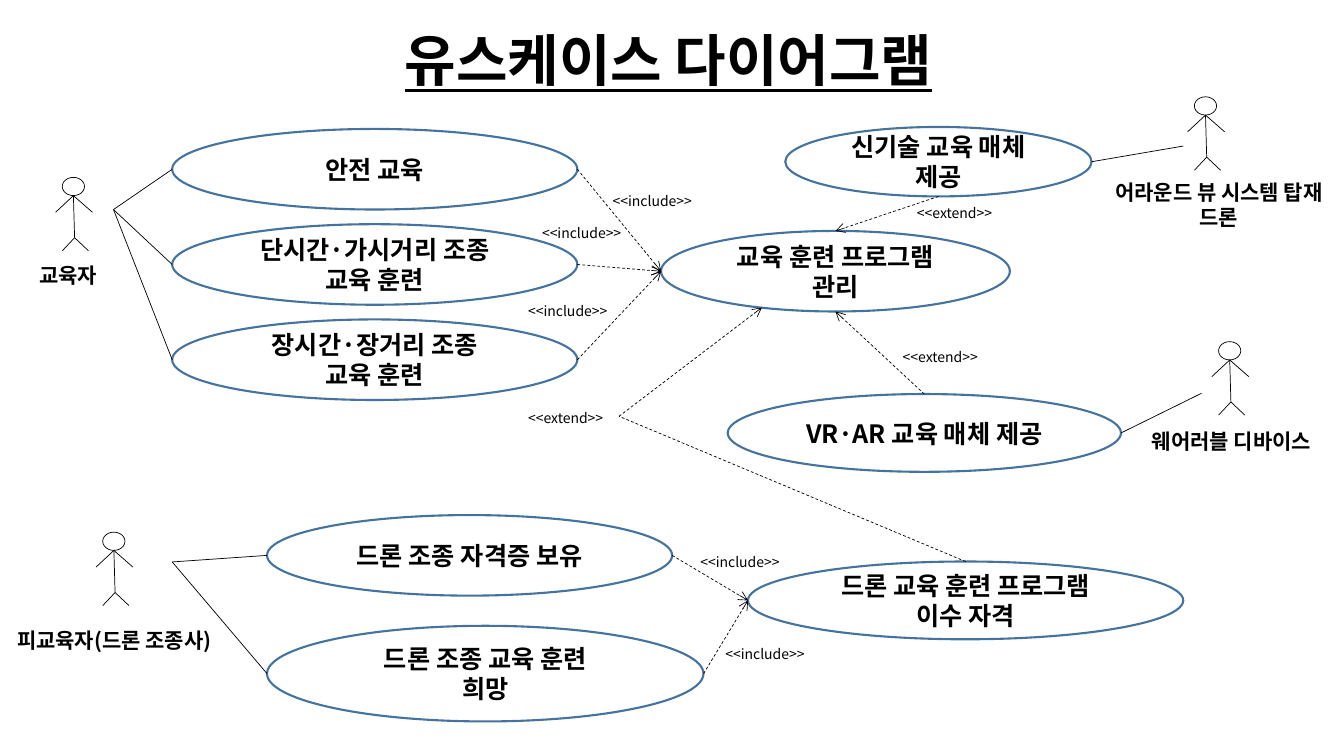
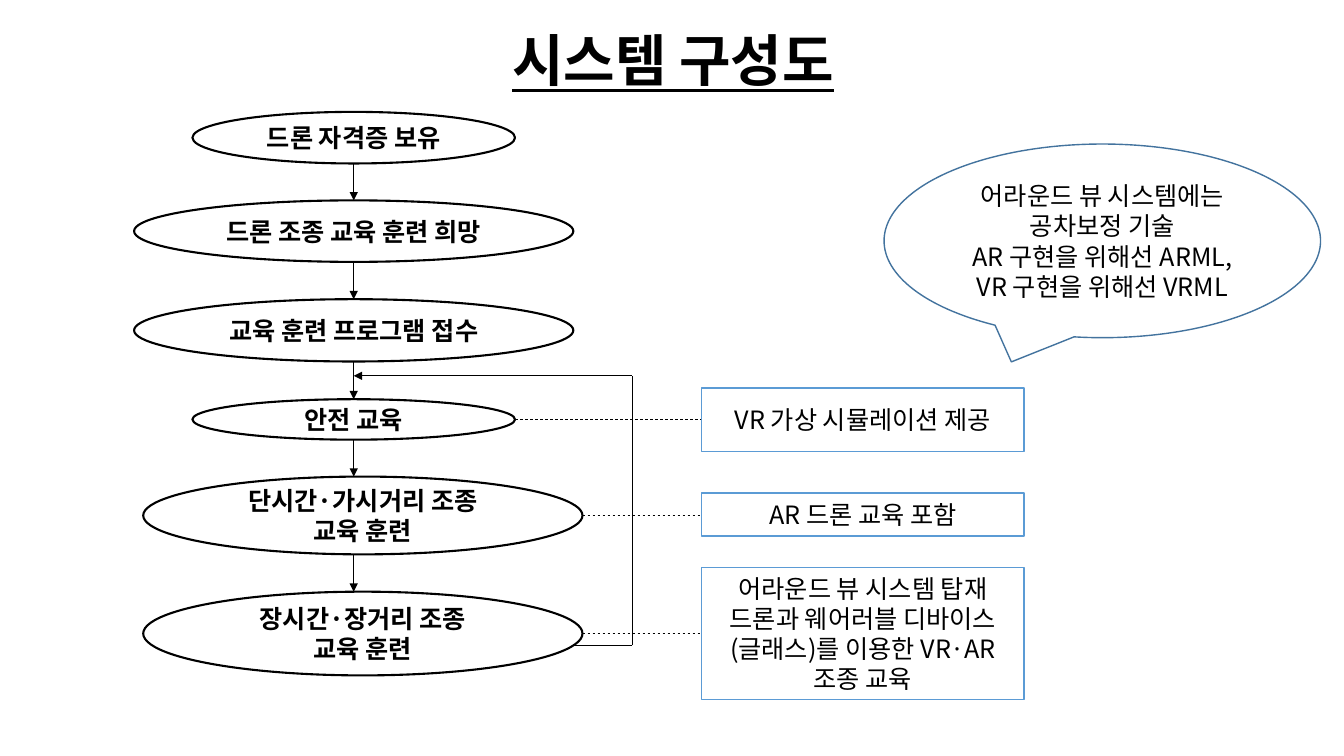
from dataclasses import dataclass
from itertools import pairwise

from lxml.etree import SubElement
from pptx import Presentation
from pptx.dml.color import RGBColor
from pptx.enum.dml import MSO_LINE
from pptx.enum.shapes import MSO_CONNECTOR, MSO_SHAPE as Shape
from pptx.enum.text import MSO_ANCHOR as Anchor, PP_ALIGN as Align
from pptx.oxml.ns import qn
from pptx.util import Cm, Pt

FONT = "Noto Sans CJK KR"
BLACK, WHITE, NAVY, BLUE = "000000", "FFFFFF", "43739E", "5B9BD5"
Point = tuple[float, float]


@dataclass(frozen=True)
class Node:
    text: str
    x: float
    y: float
    width: float
    height: float

    @property
    def left(self) -> Point:
        return self.x, self.y + self.height / 2

    @property
    def right(self) -> Point:
        return self.x + self.width, self.y + self.height / 2

    @property
    def top(self) -> Point:
        return self.x + self.width / 2, self.y

    @property
    def bottom(self) -> Point:
        return self.x + self.width / 2, self.y + self.height


@dataclass(frozen=True)
class Actor:
    head: Point
    label: Node
    align: Align = Align.LEFT


@dataclass(frozen=True)
class Link:
    start: Point
    end: Point
    dashed: bool = False
    arrow: str = ""


def colour(value: str) -> RGBColor:
    return RGBColor.from_string(value)


def write(frame, text: str, size: float, bold: bool, align: Align) -> None:
    frame.word_wrap = True
    frame.text = text
    for para in frame.paragraphs:
        para.alignment = align
        font = para.font
        font.size, font.bold, font.name = Pt(size), bold, FONT
        font.color.rgb = colour(BLACK)
        properties = para._p.pPr.find(qn("a:defRPr"))
        SubElement(properties, qn("a:ea"), typeface=FONT)


def add_label(page, node: Node, size: float, bold: bool = False,
              align: Align = Align.LEFT):
    box = page.shapes.add_textbox(
        Cm(node.x), Cm(node.y), Cm(node.width), Cm(node.height))
    write(box.text_frame, node.text, size, bold, align)
    return box


def add_title(page, text: str, left: float) -> None:
    box = add_label(page, Node(text, left, 0, 29.21, 3.22), 40, True, Align.CENTER)
    box.text_frame.vertical_anchor = Anchor.MIDDLE
    para = box.text_frame.paragraphs[0]
    para.line_spacing = 0.9
    para.font.underline = True


def add_node(page, node: Node, kind: Shape, line: str, weight: float,
             bold: bool = False) -> None:
    shape = page.shapes.add_shape(
        kind, Cm(node.x), Cm(node.y), Cm(node.width), Cm(node.height))
    shape.shadow.inherit = False
    shape.fill.solid()
    shape.fill.fore_color.rgb = colour(WHITE)
    shape.line.color.rgb = colour(line)
    shape.line.width = Pt(weight)
    if node.text:
        shape.text_frame.vertical_anchor = Anchor.MIDDLE
        write(shape.text_frame, node.text, 18, bold, Align.CENTER)


def add_link(page, link: Link) -> None:
    connector = page.shapes.add_connector(
        MSO_CONNECTOR.STRAIGHT, *(Cm(value) for value in link.start + link.end))
    line = connector.line
    line.color.rgb = colour(BLACK)
    line.width = Pt(0.5)
    if link.dashed:
        line.dash_style = MSO_LINE.DASH
    if link.arrow:
        SubElement(line._get_or_add_ln(), qn("a:tailEnd"), type=link.arrow)
    SubElement(connector._element.spPr, qn("a:effectLst"))


def add_actor(page, actor: Actor) -> None:
    x, y = actor.head
    neck, hip = (x + 0.28, y + 0.46), (x + 0.31, y + 1.52)
    add_node(page, Node("", x, y, 0.56, 0.46), Shape.OVAL, BLACK, 0.5)
    limbs = [
        (neck, hip),
        (neck, (x - 0.17, y + 0.88)),
        (neck, (x + 0.76, y + 0.88)),
        (hip, (x, y + 1.85)),
        (hip, (x + 0.66, y + 1.85)),
    ]
    for start, end in limbs:
        add_link(page, Link(start, end))
    add_label(page, actor.label, 15, True, actor.align)


def build_use_cases(page) -> None:
    add_title(page, "유스케이스 다이어그램", 2.24)
    actors = [
        Actor((1.57, 4.47), Node("교육자", 0.74, 6.5, 2.5, 0.88)),
        Actor((2.59, 13.41), Node("피교육자(드론 조종사)", 0.18, 15.7, 6.8, 0.88)),
        Actor((30.1, 2.44),
              Node("어라운드 뷰 시스템 탑재\v드론", 27.62, 4.39, 6.2, 1.56), Align.CENTER),
        Actor((30.71, 8.61), Node("웨어러블 디바이스", 28.78, 10.67, 5.08, 0.88)),
    ]
    for actor in actors:
        add_actor(page, actor)

    lessons = [
        Node(text, 4.34, 3.25 + 2.4 * row, 10.21, 2.03)
        for row, text in enumerate([
            "안전 교육",
            "단시간·가시거리 조종 교육 훈련",
            "장시간·장거리 조종\n교육 훈련",
        ])
    ]
    licence = Node("드론 조종 자격증 보유", 6.73, 12.98, 10.21, 2.03)
    wish = Node("드론 조종 교육 훈련\n희망", 6.73, 15.77, 11, 2.41)
    program = Node("교육 훈련 프로그램 관리", 16.66, 5.82, 8.79, 2.03)
    media = Node("신기술 교육 매체 제공", 19.79, 3.2, 7.72, 1.75)
    virtual = Node("VR·AR 교육 매체 제공", 18.34, 9.93, 9.91, 1.96)
    qualified = Node("드론 교육 훈련 프로그램 이수 자격", 18.85, 14.15, 10.97, 1.96)
    for node in [*lessons, licence, wish, program, media, virtual, qualified]:
        add_node(page, node, Shape.OVAL, NAVY, 1.5, True)

    teacher, trainee, bend = (2.86, 5.28), (4.34, 14.16), (15.6, 10.49)
    plain = [
        *((teacher, lesson.left) for lesson in lessons),
        (trainee, licence.left),
        (trainee, wish.left),
        ((29.82, 3.68), media.right),
        ((30.28, 9.91), virtual.right),
    ]
    for start, end in plain:
        add_link(page, Link(start, end))
    dependencies = [
        *((lesson.right, program.left) for lesson in lessons),
        (licence.right, qualified.left),
        (wish.right, qualified.left),
        (virtual.top, program.bottom),
        (media.bottom, program.top),
        (bend, (19.2, 7.75)),
    ]
    for start, end in dependencies:
        add_link(page, Link(start, end, True, "arrow"))
    add_link(page, Link(qualified.top, bend, True))

    stereotypes = {
        "<<include>>": [(15.19, 4.72), (18.03, 16.13), (17.4, 13.82),
                        (13.41, 5.54), (13.06, 7.49)],
        "<<extend>>": [(13.06, 10.19), (22.86, 5.03), (22.5, 8.66)],
    }
    for text, places in stereotypes.items():
        for x, y in places:
            add_label(page, Node(text, x, y, 2.95, 0.69), 10)


def build_system(page) -> None:
    add_title(page, "시스템 구성도", 2.36)
    steps = [
        Node("드론 자격증 보유", 4.85, 2.82, 8.13, 1.3),
        Node("드론 조종 교육 훈련 희망", 3.38, 5.05, 11.07, 1.55),
        Node("교육 훈련 프로그램 접수", 3.38, 7.54, 11.07, 1.57),
        Node("안전 교육", 4.85, 10.06, 8.13, 1.02),
        Node("단시간·가시거리 조종\v교육 훈련", 3.61, 12.01, 11.07, 1.96),
        Node("장시간·장거리 조종\n교육 훈련", 3.61, 14.91, 11.07, 2.11),
    ]
    for step in steps:
        add_node(page, step, Shape.OVAL, BLACK, 1.5, True)
    axis = steps[0].top[0]
    for upper, lower in pairwise(steps):
        add_link(page, Link((axis, upper.bottom[1]), (axis, lower.y), arrow="triangle"))

    loop = [(14.45, 16.26), (15.93, 16.26), (15.93, 9.47), (axis, 9.47)]
    for start, end in pairwise(loop):
        add_link(page, Link(start, end, arrow="triangle" if end == loop[-1] else ""))

    notes = [
        Node("VR 가상 시뮬레이션 제공", 17.68, 9.78, 8.13, 1.6),
        Node("AR 드론 교육 포함", 17.68, 12.42, 8.13, 1.09),
        Node("어라운드 뷰 시스템 탑재 드론과 웨어러블 디바이스 (글래스)를 이용한 VR·AR 조종 교육",
             17.68, 14.3, 8.13, 3.33),
    ]
    for step, note in zip(steps[3:], notes):
        add_link(page, Link(step.right, (note.x, step.right[1]), True))
        add_node(page, note, Shape.RECTANGLE, BLUE, 1)

    speech = Node("어라운드 뷰 시스템에는 공차보정 기술\n"
                  "AR 구현을 위해선 ARML, VR 구현을 위해선 VRML",
                  22.28, 3.63, 11, 4.88)
    add_node(page, speech, Shape.OVAL_CALLOUT, NAVY, 1)


def main() -> None:
    deck = Presentation()
    deck.slide_width, deck.slide_height = Cm(33.87), Cm(19.05)
    for build in (build_use_cases, build_system):
        build(deck.slides.add_slide(deck.slide_layouts[6]))
    deck.save("out.pptx")


if __name__ == "__main__":
    main()
